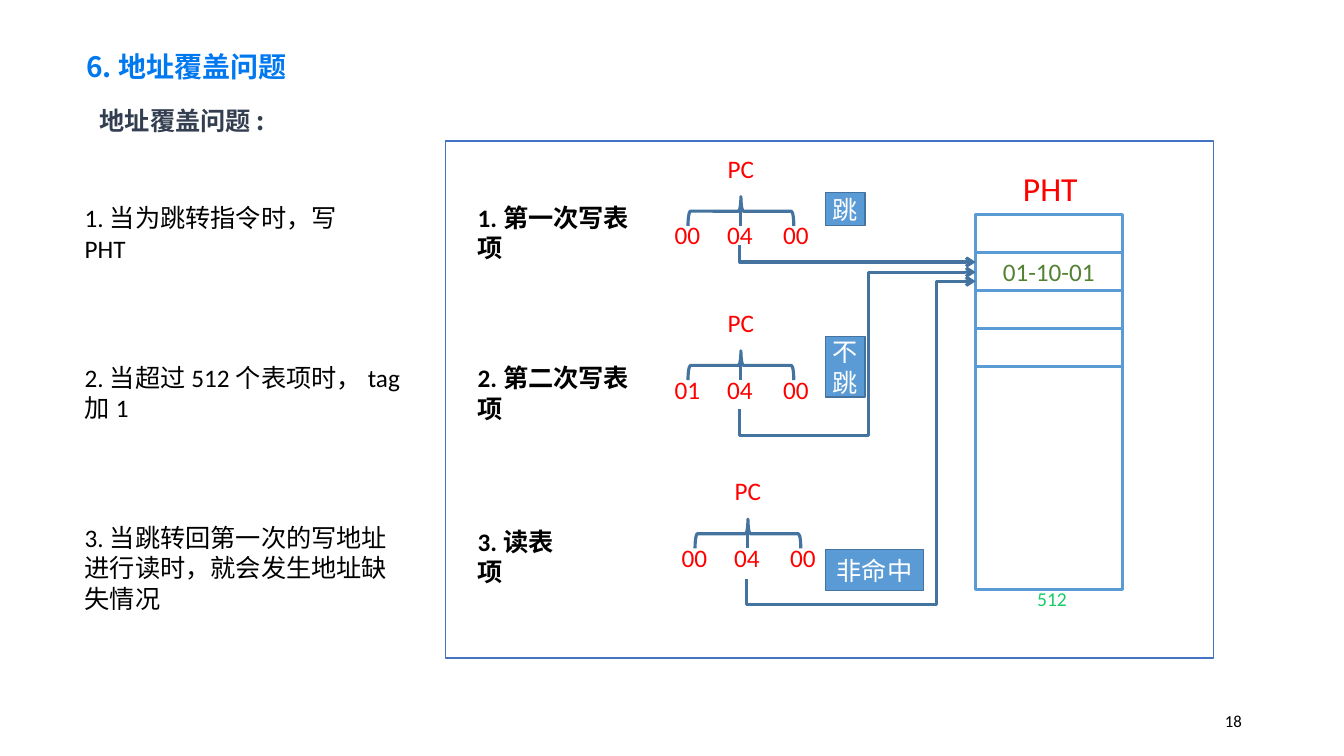
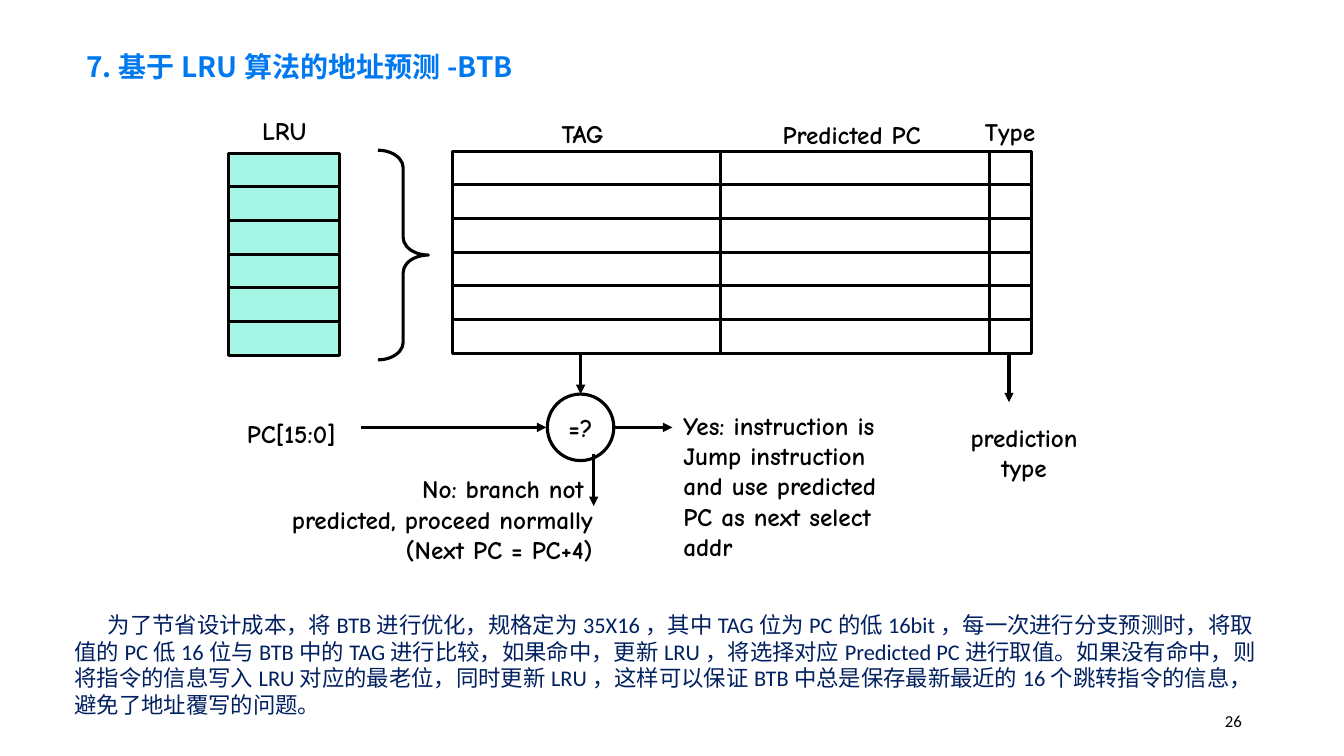
import pptx
import pptx.dml.color
import pptx.enum.shapes
import pptx.enum.text
import pptx.oxml
import pptx.oxml.ns
import pptx.util
from dataclasses import dataclass, field

Pt = pptx.util.Pt
Shape = pptx.enum.shapes.MSO_SHAPE
Align = pptx.enum.text.PP_ALIGN
Anchor = pptx.enum.text.MSO_ANCHOR
qn = pptx.oxml.ns.qn

ROWS = 75       # grid rows down the slide; cells are square
COLUMNS = 133.33
CJK_FONT = "Noto Sans CJK SC"


def rgb(code):
    return pptx.dml.color.RGBColor.from_string(code)


def text_style(size, color, name="Calibri", bold=False):
    return {"color": color, "font": {"size": Pt(size), "name": name, "bold": bold}}


@dataclass
class Theme:
    """Colours, line widths and type styles of the deck."""
    black: str = "000000"
    memory: str = "5B9BD5"
    wire: str = "43739E"
    frame: str = "4472C4"
    lru: str = "A6F6E5"
    thick: float = 2.25
    thin: float = 1
    text: dict = field(default_factory=lambda: {
        "title": text_style(20, "0078F0", CJK_FONT, True),
        "subtitle": text_style(18, "333F50", CJK_FONT, True),
        "page": text_style(12, "000000"),
        "list": text_style(18, "000000"),
        "summary": text_style(16, "002060"),
        "step": text_style(18, "000000", bold=True),
        "address": text_style(18, "FF0000"),
        "heading": text_style(24, "FF0000"),
        "entry": text_style(18, "548235"),
        "count": text_style(14, "14CD68"),
        "badge": text_style(18, "FFFFFF"),
        "diagram": text_style(18, "000000", "Comic Neue", True),
    })


class Deck:
    """Holds the theme and the current slide; lengths are grid cells."""

    def __init__(self, theme):
        self.theme = theme
        self.file = pptx.Presentation()
        self.file.slide_height = pptx.util.Inches(7.5)
        self.cell = self.file.slide_height / ROWS
        self.file.slide_width = self.grid(COLUMNS)[0]
        self.slide = None

    def grid(self, *cells):
        return [pptx.util.Emu(round(cell * self.cell)) for cell in cells]

    def new_slide(self, title, page):
        self.slide = self.file.slides.add_slide(self.file.slide_layouts[1])
        self.place(self.slide.shapes.title, (6.3, 3.2, 70.4, 5.6))
        paragraph = self.fill_text(self.slide.shapes.title, title, "title", Align.LEFT,
                                   Anchor.BOTTOM, margin_left=self.grid(2.25)[0])[0]
        paragraph.line_spacing = 0.9
        self.label(page, (94.2, 69.5, 30, 4), "page", Align.RIGHT, Anchor.MIDDLE)

    def place(self, shape, box):
        for side, length in zip(("left", "top", "width", "height"), self.grid(*box)):
            setattr(shape, side, length)

    def fill_text(self, shape, text, style, align=Align.LEFT, anchor=Anchor.TOP,
                  wrap=True, **margins):
        """Fill a shape with text; a vertical tab breaks a line."""
        frame = shape.text_frame
        layout = {"text": text, "word_wrap": wrap, "vertical_anchor": anchor,
                  "auto_size": pptx.enum.text.MSO_AUTO_SIZE.NONE, **margins}
        for name, value in layout.items():
            setattr(frame, name, value)
        look = self.theme.text[style]
        for paragraph in frame.paragraphs:
            paragraph.alignment = align
            for run in paragraph.runs:
                for name, value in look["font"].items():
                    setattr(run.font, name, value)
                run.font.color.rgb = rgb(look["color"])
                east_asian = pptx.oxml.parse_xml(
                    f'<a:ea {pptx.oxml.ns.nsdecls("a")} typeface="{CJK_FONT}"/>')
                run.font._element.find(qn("a:latin")).addnext(east_asian)
            for line_break in paragraph._p.findall(qn("a:br")):
                line_break.append(pptx.oxml.parse_xml(
                    f'<a:rPr {pptx.oxml.ns.nsdecls("a")} '
                    f'sz="{look["font"]["size"].centipoints}"/>'))
        return frame.paragraphs

    def body(self, box, text, style, gap=0, indent=0):
        """Text in the body placeholder, without bullets."""
        body = self.slide.placeholders[1]
        self.place(body, box)
        for number, paragraph in enumerate(self.fill_text(body, text, style)):
            paragraph.space_before = Pt(gap if number else 0)
            properties = paragraph._p.get_or_add_pPr()
            properties.set("marL", "0")
            properties.set("indent", str(self.grid(indent)[0]))
            properties.append(pptx.oxml.parse_xml(
                f'<a:buNone {pptx.oxml.ns.nsdecls("a")}/>'))

    def label(self, text, box, style, align=Align.LEFT, anchor=Anchor.TOP, wrap=False):
        shape = self.slide.shapes.add_textbox(*self.grid(*box))
        self.fill_text(shape, text, style, align, anchor, wrap)

    def diagram_label(self, text, box, align=Align.CENTER, wrap=False):
        self.label(text, box, "diagram", align, Anchor.MIDDLE, wrap)

    def shape(self, kind, box, line, width, fill=None):
        shape = self.slide.shapes.add_shape(kind, *self.grid(*box))
        shape.shadow.inherit = False
        if fill:
            shape.fill.solid()
            shape.fill.fore_color.rgb = rgb(fill)
        else:
            shape.fill.background()
        shape.line.color.rgb = rgb(line)
        shape.line.width = Pt(width)
        return shape

    def badge(self, text, box):
        badge = self.shape(Shape.RECTANGLE, box, self.theme.wire, self.theme.thin,
                           self.theme.memory)
        edges = dict.fromkeys(("margin_left", "margin_right", "margin_top",
                               "margin_bottom"), self.grid(0.5)[0])
        self.fill_text(badge, text, "badge", Align.CENTER, Anchor.MIDDLE, **edges)

    def cells(self, left, top, widths, height, count, fill=None):
        """A stack of table rows drawn as memory cells."""
        for row in range(count):
            for column, width in enumerate(widths):
                self.shape(Shape.RECTANGLE,
                           (left + sum(widths[:column]), top + row * height, width, height),
                           self.theme.black, self.theme.thick, fill)

    def line(self, start, end, color, head=None, tail=None, elbow=None, turns=()):
        """A connector; turns are the shares at which an elbow bends."""
        kinds = pptx.enum.shapes.MSO_CONNECTOR
        line = self.slide.shapes.add_connector(
            kinds.ELBOW if elbow else kinds.STRAIGHT, *self.grid(*start, *end))
        line.line.color.rgb = rgb(color)
        line.line.width = Pt(self.theme.thick)
        names = pptx.oxml.ns.nsdecls("a")
        for tag, arrow in (("headEnd", head), ("tailEnd", tail)):
            if arrow:
                line.line._get_or_add_ln().append(
                    pptx.oxml.parse_xml(f'<a:{tag} {names} type="{arrow}"/>'))
        properties = line._element.spPr
        properties.append(pptx.oxml.parse_xml(f"<a:effectLst {names}/>"))
        if elbow:
            geometry = properties.find(qn("a:prstGeom"))
            geometry.set("prst", elbow)
            guides = geometry.find(qn("a:avLst"))
            for number, share in enumerate(turns, 1):
                guides.append(pptx.oxml.parse_xml(
                    f'<a:gd {names} name="adj{number}" fmla="val {round(share * 100000)}"/>'))

    def loop_back(self, entry, source, turn_column, low_row):
        """Wire that leaves a source downwards and ends in an arrow at the entry."""
        turns = ((turn_column - entry[0]) / (source[0] - entry[0]),
                 (low_row - entry[1]) / (source[1] - entry[1]))
        self.line(entry, source, self.theme.wire, head="arrow",
                  elbow="bentConnector4", turns=turns)

    def program_counter(self, center, top, fields):
        """PC label, brace and the three address fields below it."""
        self.label("PC", (center - 2.3, top, 4.6, 4), "address", Align.CENTER)
        brace = self.shape(Shape.RIGHT_BRACE, (center - 1.45, top + 1, 2.9, 10.5),
                           self.theme.wire, self.theme.thick)
        brace.rotation = 270
        self.line((center, top + 6.2), (center, top + 7.7), self.theme.wire)
        for offset, digits in zip((-5.3, -0.1, 5.45), fields):
            self.label(digits, (center + offset - 2.25, top + 6.6, 4.5, 4),
                       "address", Align.CENTER)


def address_overlap(deck):
    theme = deck.theme
    deck.new_slide("6.地址覆盖问题", "18")
    deck.label("地址覆盖问题:", (8.9, 10, 17.6, 4), "subtitle")
    deck.body((7.4, 19.6, 34.6, 43),
              "1.当为跳转指令时，写\vPHT\n"
              "2.当超过512个表项时，tag\v加1\n"
              "3.当跳转回第一次的写地址\v进行读时，就会发生地址缺\v失情况", "list", gap=71)
    deck.shape(Shape.RECTANGLE, (44.2, 14, 76.2, 51.3), theme.frame, theme.thin)

    # Pattern history table
    left, top, width = 96.8, 21.3, 14.6
    deck.shape(Shape.RECTANGLE, (left, top, width, 37.2), theme.memory, theme.thick)
    for row in range(1, 5):
        level = top + 3.77 * row
        deck.line((left, level), (left + width, level), theme.memory)
    deck.label("PHT", (100.5, 16.2, 7.4, 5), "heading")
    deck.label("01-10-01", (98.5, 24.9, 11.1, 4), "entry", Align.CENTER)
    deck.label("512", (101.9, 57.7, 16.9, 3.4), "count", wrap=True)

    # Three steps, each with its address and result
    steps = (
        ("1.第一次写表项", (46.4, 19.6, 19, 4), (73.5, 14.7), ("00", "04", "00"),
         "跳", (81.9, 19.1, 3.9, 3.3)),
        ("2.第二次写表项", (46.4, 35.5, 19, 4), (73.5, 30), ("01", "04", "00"),
         "不跳", (81.9, 33.4, 3.9, 6)),
        ("3.读表项", (46.4, 51.7, 11.5, 4), (74.2, 46.7), ("00", "04", "00"),
         "非命中", (81.9, 54.5, 9.7, 4.1)),
    )
    for step, box, (center, head), fields, result, result_box in steps:
        deck.label(step, box, "step", wrap=True)
        deck.program_counter(center, head, fields)
        deck.badge(result, result_box)

    # Wires from the addresses to the shared entry
    deck.line((73.4, 24.3), (left, 26), theme.wire, tail="arrow",
              elbow="bentConnector3", turns=(0,))
    deck.loop_back((left, 27), (73.4, 40.6), 86.2, 43.2)
    deck.loop_back((left, 27.9), (74.1, 57.4), 92.9, 60)


def branch_target_buffer(deck):
    theme = deck.theme
    deck.new_slide("7.基于LRU算法的地址预测-BTB", "26")

    # LRU column, brace and buffer
    row_height, rows = 3.34, 6
    deck.cells(22.7, 15.2, (11,), row_height, rows, theme.lru)
    deck.cells(44.9, 15, (26.6, 26.7, 4.1), row_height, rows)
    brace = deck.shape(Shape.RIGHT_BRACE, (37.5, 14.9, 5, 20.8), theme.black, theme.thick)
    brace.adjustments[0] = 0.35
    for heading, box in (("LRU", (24.8, 10.9, 6.8, 4)), ("TAG", (54.2, 11.2, 7.2, 4)),
                         ("Predicted PC", (75.8, 11.3, 17.4, 4)),
                         ("Type", (96.3, 11, 7.8, 4)), ("PC[15:0]", (22.7, 41, 12.4, 4))):
        deck.diagram_label(heading, box)

    # Tag comparison and its outcomes
    compare = deck.shape(Shape.OVAL, (54.3, 39.1, 6.6, 6.6), theme.black, theme.thick)
    deck.fill_text(compare, "=?", "diagram", Align.CENTER, Anchor.MIDDLE, wrap=False)
    for start, end in (((57.6, 34.9), (57.6, 39.1)), ((100.1, 34.9), (100.1, 39.9)),
                       ((60.9, 42.4), (66.7, 42.4)), ((58.9, 45), (58.9, 50.2)),
                       ((35.8, 42.4), (54.2, 42.4))):
        deck.line(start, end, theme.black, tail="triangle")
    deck.diagram_label("prediction type", (93.6, 41.3, 16, 7.1), wrap=True)
    deck.diagram_label("Yes: instruction is\vJump instruction\vand use predicted\v"
                       "PC as next select\vaddr", (66.8, 40.1, 24.8, 16.2), Align.LEFT,
                       wrap=True)
    deck.diagram_label("No: branch not \npredicted, proceed normally\n(Next PC = PC+4)",
                       (23.8, 46.5, 36, 10), Align.RIGHT, wrap=True)

    # Design summary
    deck.body((6.4, 60.1, 120.5, 12.1),
              "为了节省设计成本，将BTB进行优化，规格定为35X16，其中TAG位为PC的低16bit，"
              "每一次进行分支预测时，将取值的PC低16位与BTB中的TAG进行比较，如果命中，更新LRU，"
              "将选择对应Predicted PC进行取值。如果没有命中，则将指令的信息写入LRU对应的最老位，"
              "同时更新LRU，这样可以保证BTB中总是保存最新最近的16个跳转指令的信息，"
              "避免了地址覆写的问题。", "summary", indent=3.3)


def main():
    deck = Deck(Theme())
    address_overlap(deck)
    branch_target_buffer(deck)
    deck.file.save("out.pptx")


if __name__ == "__main__":
    main()
